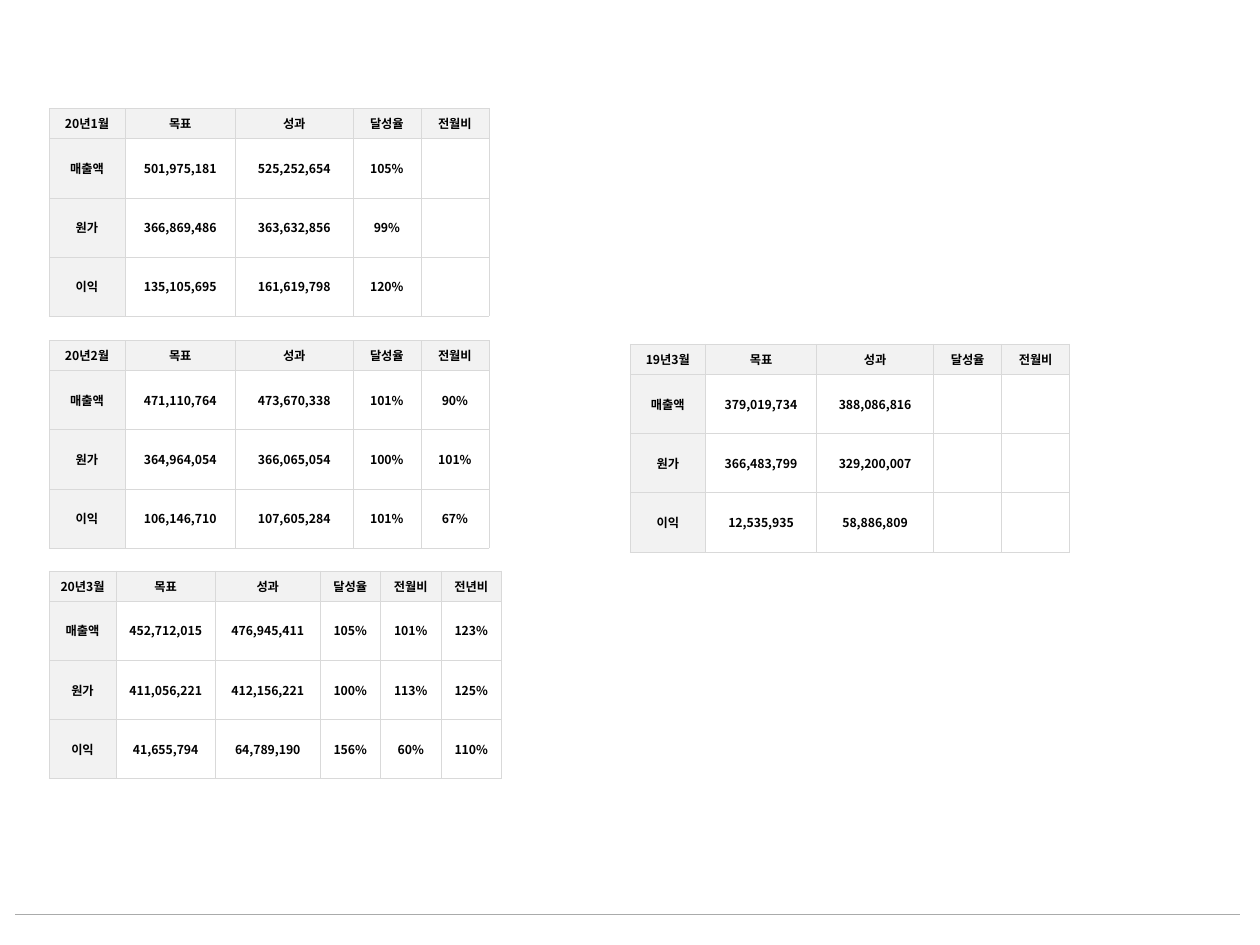
from lxml.etree import SubElement
from pptx import Presentation
from pptx.dml.color import RGBColor
from pptx.enum.shapes import MSO_CONNECTOR as Connector
from pptx.enum.text import MSO_ANCHOR as Anchor, PP_ALIGN as Align
from pptx.oxml.ns import qn
from pptx.util import Inches, Pt

COLORS = {"text": "000000", "header": "F2F2F2", "body": "FFFFFF", "border": "D9D9D9", "rule": "AAABAB"}
FONT = "Noto Sans CJK KR"
HEADINGS = ["목표", "성과", "달성율", "전월비", "전년비"]
ITEMS = ["매출액", "원가", "이익"]
WIDE_COLUMNS = [0.6, 0.88, 0.93, 0.54, 0.54]
NARROW_COLUMNS = [0.53, 0.79, 0.83, 0.48, 0.48, 0.48]
HEADER_HEIGHT, BODY_HEIGHT = 0.24, 0.47

MONTHS = [
    {"month": "20년1월", "left": 0.39, "top": 0.86, "columns": WIDE_COLUMNS, "values": [
        ["501,975,181", "525,252,654", "105%"],
        ["366,869,486", "363,632,856", "99%"],
        ["135,105,695", "161,619,798", "120%"]]},
    {"month": "20년2월", "left": 0.39, "top": 2.7, "columns": WIDE_COLUMNS, "values": [
        ["471,110,764", "473,670,338", "101%", "90%"],
        ["364,964,054", "366,065,054", "100%", "101%"],
        ["106,146,710", "107,605,284", "101%", "67%"]]},
    {"month": "20년3월", "left": 0.39, "top": 4.53, "columns": NARROW_COLUMNS, "values": [
        ["452,712,015", "476,945,411", "105%", "101%", "123%"],
        ["411,056,221", "412,156,221", "100%", "113%", "125%"],
        ["41,655,794", "64,789,190", "156%", "60%", "110%"]]},
    {"month": "19년3월", "left": 5, "top": 2.73, "columns": WIDE_COLUMNS, "values": [
        ["379,019,734", "388,086,816"],
        ["366,483,799", "329,200,007"],
        ["12,535,935", "58,886,809"]]},
]


def color(name):
    return RGBColor.from_string(COLORS[name])


def write_text(frame, text, size=7, bold=True, align=Align.CENTER):
    paragraph = frame.paragraphs[0]
    paragraph.alignment = align
    run = paragraph.add_run()
    run.text = text
    run.font.size = Pt(size)
    run.font.bold = bold
    run.font.name = FONT
    run.font.color.rgb = color("text")
    SubElement(run.font._element, qn("a:ea"), typeface=FONT)


def add_borders(cell, width=0.25):
    properties = cell._tc.get_or_add_tcPr()
    for side in ("lnL", "lnR", "lnT", "lnB"):
        line = SubElement(properties, qn(f"a:{side}"), w=str(Pt(width)))
        fill = SubElement(line, qn("a:solidFill"))
        SubElement(fill, qn("a:srgbClr"), val=COLORS["border"])


def format_cell(cell, text, fill):
    cell.margin_left = cell.margin_right = cell.margin_top = cell.margin_bottom = 0
    cell.vertical_anchor = Anchor.MIDDLE
    add_borders(cell)
    cell.fill.solid()
    cell.fill.fore_color.rgb = color(fill)
    if text:
        write_text(cell.text_frame, text)


def add_month_table(slide, month, left, top, columns, values):
    rows = [[month] + HEADINGS[:len(columns) - 1]]
    rows += [[item] + figures for item, figures in zip(ITEMS, values)]
    heights = [HEADER_HEIGHT] + [BODY_HEIGHT] * len(ITEMS)
    table = slide.shapes.add_table(
        len(rows), len(columns), Inches(left), Inches(top),
        Inches(sum(columns)), Inches(sum(heights))).table
    table.first_row = table.horz_banding = False
    for column, width in zip(table.columns, columns):
        column.width = Inches(width)
    for row_index, (row, height) in enumerate(zip(rows, heights)):
        table.rows[row_index].height = Inches(height)
        for column_index in range(len(columns)):
            text = row[column_index] if column_index < len(row) else ""
            fill = "header" if row_index == 0 or column_index == 0 else "body"
            format_cell(table.cell(row_index, column_index), text, fill)


def add_rule(slide, left, right, top):
    rule = slide.shapes.add_connector(
        Connector.STRAIGHT, Inches(left), Inches(top), Inches(right), Inches(top))
    rule.line.color.rgb = color("rule")
    rule.line.width = Pt(0.75)
    SubElement(rule._element.spPr, qn("a:effectLst"))


def main():
    presentation = Presentation()
    presentation.slide_width, presentation.slide_height = Inches(10), Inches(7.5)
    slide = presentation.slides.add_slide(presentation.slide_layouts[6])
    add_rule(slide, 0.12, 9.84, 7.26)
    for month in MONTHS:
        add_month_table(slide, **month)
    presentation.save("out.pptx")


if __name__ == "__main__":
    main()
